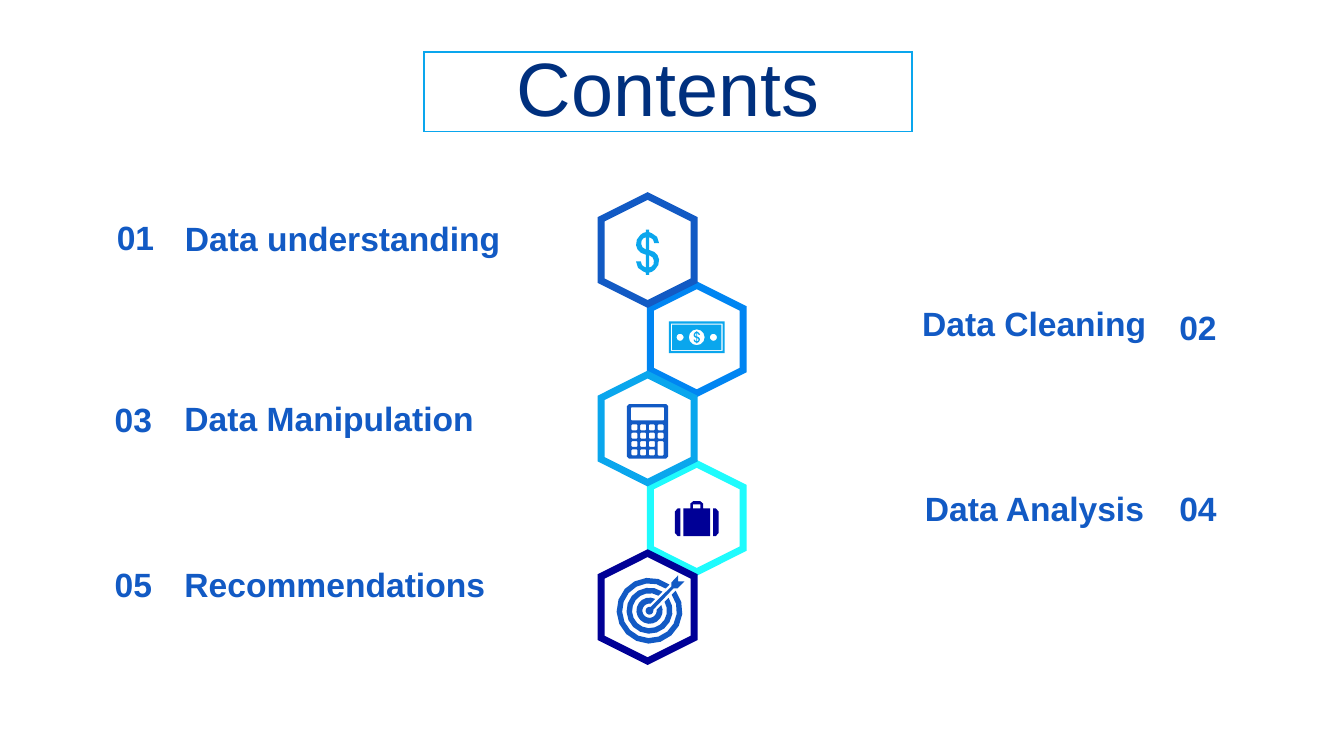
from dataclasses import dataclass
from math import asin, cos, pi, sin

from lxml.etree import SubElement
from pptx import Presentation
from pptx.dml.color import RGBColor
from pptx.enum.shapes import MSO_SHAPE as Kind
from pptx.enum.text import MSO_ANCHOR as Anchor, PP_ALIGN as Align
from pptx.oxml.ns import qn
from pptx.util import Cm, Pt

Point = tuple[float, float]
Contour = list[Point]

WHITE, NAVY, TITLE_BLUE = "FFFFFF", "000096", "00307E"
BLUE, AZURE, SKY, CYAN = "125AC4", "0085F2", "0AA6ED", "1FFBFD"
FONT = "Arial"
HEX_LENGTH, HEX_WIDTH = 2.72, 2.34
LEFT_COLUMN, RIGHT_COLUMN = 16.32, 17.56
FIRST_ROW, ROW_STEP = 6.3, 2.25

deck = Presentation()
deck.slide_width, deck.slide_height = Cm(33.87), Cm(19.05)
page = deck.slides.add_slide(deck.slide_layouts[6])


@dataclass
class Entry:
    number: str
    title: str
    number_left: float
    number_top: float
    title_left: float
    title_top: float
    title_width: float
    number_align: Align = Align.LEFT


@dataclass
class Icon:
    x: float
    y: float
    color: str
    contours: list[Contour]


def color_of(code: str) -> RGBColor:
    return RGBColor.from_string(code)


def paint(shape, fill: str, line: str = "", width: float = 1) -> None:
    shape.shadow.inherit = False
    shape.fill.solid()
    shape.fill.fore_color.rgb = color_of(fill)
    if line:
        shape.line.color.rgb = color_of(line)
        shape.line.width = Pt(width)
        SubElement(shape.line._get_or_add_ln(), qn("a:miter"), lim="800000")
    else:
        shape.line.fill.background()


def write(frame, text: str, size: float, color: str, bold: bool, align: Align) -> None:
    frame.text = text
    frame.word_wrap = True
    para = frame.paragraphs[0]
    para.alignment = align
    font = para.runs[0].font
    font.name, font.size, font.bold = FONT, Pt(size), bold
    font.color.rgb = color_of(color)


def add_label(text: str, left: float, top: float, width: float, align: Align = Align.LEFT) -> None:
    box = page.shapes.add_textbox(Cm(left), Cm(top), Cm(width), Cm(1.27))
    write(box.text_frame, text, 24, BLUE, True, align)


def add_icon(icon: Icon) -> None:
    """Add one freeform; contours lying inside others become holes."""
    builder = None
    for contour in icon.contours:
        corners = [(Cm(icon.x + dx), Cm(icon.y + dy)) for dx, dy in contour]
        if builder is None:
            builder = page.shapes.build_freeform(*corners[0], scale=1.0)
        else:
            builder.move_to(*corners[0])
        builder.add_line_segments(corners[1:], close=True)
    paint(builder.convert_to_shape(), icon.color)


def mirrored(points: Contour) -> Contour:
    """Turn the points half a turn about the centre."""
    return [(-x, -y) for x, y in points]


def arc(radius: float, start: float, end: float, steps: int) -> Contour:
    angles = [start + (end - start) * step / steps for step in range(steps + 1)]
    return [(radius * cos(angle), -radius * sin(angle)) for angle in angles]


def circle(x: float, radius: float) -> Contour:
    return [(x + dx, dy) for dx, dy in arc(radius, 0, 2 * pi, 12)[:-1]]


def block(x: float, y: float, width: float, height: float, cut: float = 0) -> Contour:
    """Outline a rectangle around x, y, with its corners cut off if asked."""
    right, bottom = width / 2, height / 2
    if cut:
        half = [(right - cut, -bottom), (right, cut - bottom), (right, bottom - cut), (right - cut, bottom)]
    else:
        half = [(right, -bottom), (right, bottom)]
    return [(x + dx, y + dy) for dx, dy in half + mirrored(half)]


def dollar(scale: float = 1) -> list[Contour]:
    half = [(-0.04, -0.57), (0.04, -0.57), (0.04, -0.51), (0.11, -0.48), (0.24, -0.39), (0.29, -0.23),
            (0.17, -0.23), (0.14, -0.32), (0.09, -0.36), (0.04, -0.38), (0.04, -0.06), (0.17, -0.01),
            (0.25, 0.07), (0.29, 0.18), (0.27, 0.32), (0.18, 0.44), (0.11, 0.49), (0.04, 0.51)]
    hole = [(0.04, 0.07), (0.04, 0.38), (0.1, 0.36), (0.15, 0.3), (0.16, 0.21), (0.13, 0.13)]
    return [[(x * scale, y * scale) for x, y in contour]
            for contour in (half + mirrored(half), hole, mirrored(hole))]


def banknote() -> list[Contour]:
    frames = [block(0, 0, width, height) for width, height in ((1.4, 0.8), (1.3, 0.69), (1.24, 0.64))]
    return frames + [circle(-0.42, 0.09), circle(0, 0.2), circle(0.42, 0.09)] + dollar(0.27)


def calculator() -> list[Contour]:
    contours = [block(0, 0, 1.04, 1.37, 0.05), block(0, -0.44, 0.84, 0.33, 0.02)]
    for column in range(4):
        x = (column - 1.5) * 0.22
        rows = 2 if column == 3 else 4
        contours += [block(x, -0.1 + row * 0.21, 0.15, 0.15, 0.02) for row in range(rows)]
    return contours + [block(0.33, 0.43, 0.15, 0.36, 0.02)]


def briefcase() -> list[Contour]:
    right = [(0.09, -0.44), (0.16, -0.38), (0.16, -0.26), (0.34, -0.26), (0.34, 0.44)]
    left = [(-x, y) for x, y in reversed(right)]
    strap = [(0.41, -0.26), (0.48, -0.26), (0.55, -0.18), (0.55, 0.36), (0.48, 0.44), (0.41, 0.44)]
    return [right + left, block(0, -0.31, 0.19, 0.1), strap, [(-x, y) for x, y in strap]]


def ring(outer: float, inner: float) -> Contour:
    """Outline a ring that is open towards the upper right."""
    gaps = [asin(0.11 / radius) for radius in (outer, inner)]
    start, end = pi / 4, pi * 9 / 4
    return (arc(outer, start + gaps[0], end - gaps[0], 16)
            + arc(inner, end - gaps[1], start + gaps[1], 16))


def target() -> list[Contour]:
    arrow = [(0.6, -0.56), (0.7, -0.56), (0.88, -0.74), (0.72, -0.74), (0.72, -0.89),
             (0.55, -0.71), (0.55, -0.61)]
    dot = arc(0.1, pi / 4 + 0.5, pi * 9 / 4 - 0.5, 8)
    return [ring(0.83, 0.69), ring(0.58, 0.44), ring(0.33, 0.18), dot + arrow]


HEX_COLORS = [BLUE, AZURE, SKY, CYAN, NAVY]
ICONS = [
    Icon(17.56, 13.07, NAVY, briefcase()),
    Icon(16.37, 15.39, BLUE, target()),
    Icon(16.32, 6.36, SKY, dollar()),
    Icon(17.56, 8.5, SKY, banknote()),
    Icon(16.32, 10.87, BLUE, calculator()),
]
ENTRIES = [
    Entry("01", "Data understanding", 2.36, 5.33, 4.41, 5.36, 10, Align.CENTER),
    Entry("03", "Data Manipulation", 2.64, 9.93, 4.4, 9.9, 11.15),
    Entry("05", "Recommendations", 2.64, 14.08, 4.4, 14.08, 10),
    Entry("02", "Data Cleaning", 29.47, 7.62, 22.99, 7.52, 9.98),
    Entry("04", "Data Analysis", 29.47, 12.17, 23.06, 12.17, 10.36),
]

# The right column lies behind the left one
hexagons = page.shapes.add_group_shape()
for index in (3, 1, 2, 0, 4):
    left = (RIGHT_COLUMN if index % 2 else LEFT_COLUMN) - HEX_LENGTH / 2
    top = FIRST_ROW + index * ROW_STEP - HEX_WIDTH / 2
    hexagon = hexagons.shapes.add_shape(Kind.HEXAGON, Cm(left), Cm(top), Cm(HEX_LENGTH), Cm(HEX_WIDTH))
    hexagon.rotation = 90
    paint(hexagon, WHITE, HEX_COLORS[index], 5)

for entry in ENTRIES:
    add_label(entry.number, entry.number_left, entry.number_top, 2.11, entry.number_align)
    add_label(entry.title, entry.title_left, entry.title_top, entry.title_width)

for icon in ICONS:
    add_icon(icon)

heading = page.shapes.add_shape(Kind.RECTANGLE, Cm(10.69), Cm(1.31), Cm(12.3), Cm(2))
paint(heading, WHITE, SKY, 1)
write(heading.text_frame, "Contents", 54, TITLE_BLUE, False, Align.CENTER)
heading.text_frame.vertical_anchor = Anchor.MIDDLE
heading_para = heading.text_frame.paragraphs[0]
heading_para.line_spacing, heading_para.space_before = 0.9, Pt(10)

deck.save("out.pptx")
